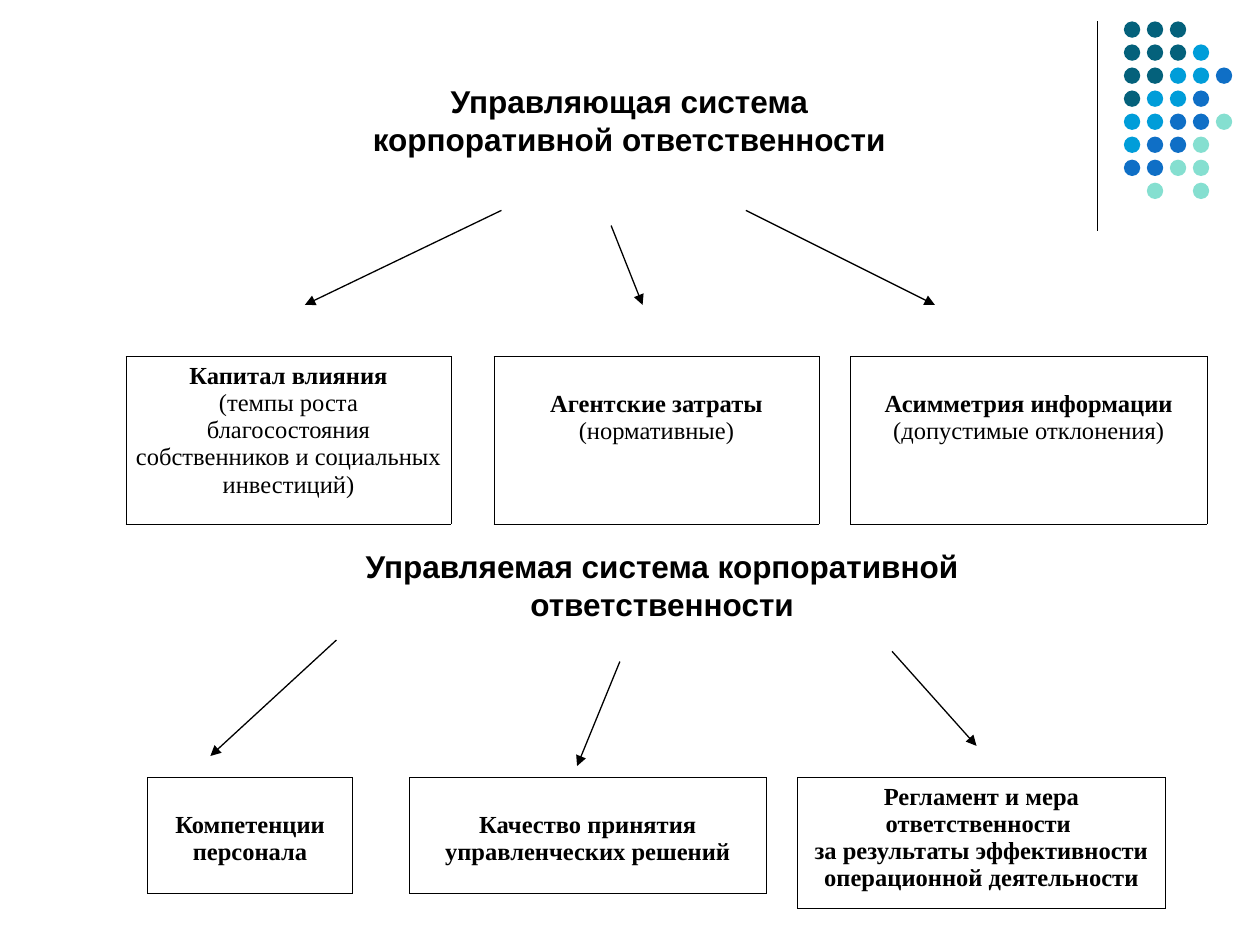
from dataclasses import dataclass

import pptx
import pptx.dml.color
import pptx.enum.shapes
import pptx.enum.text
import pptx.oxml
import pptx.oxml.ns
import pptx.util
from pptx.util import Inches


@dataclass(frozen=True)
class Theme:
    ink: str = "000000"
    teal: str = "04617B"
    sky: str = "009DD9"
    blue: str = "0F6FC6"
    mint: str = "85DFD0"
    heading_font: str = "Arial"
    box_font: str = "Times New Roman"
    heading_size: int = 18
    box_size: int = 14
    line_width: float = 0.75
    border_width: float = 0.45


theme = Theme()
ink = pptx.dml.color.RGBColor.from_string(theme.ink)
center = pptx.enum.text.PP_ALIGN.CENTER

deck = pptx.Presentation()
deck.slide_width, deck.slide_height = Inches(10), Inches(7.5)
slide = deck.slides.add_slide(deck.slide_layouts[5])


def add_line(x1, y1, x2, y2, arrow=True):
    line = slide.shapes.add_connector(
        pptx.enum.shapes.MSO_CONNECTOR.STRAIGHT,
        Inches(x1), Inches(y1), Inches(x2), Inches(y2))
    line.line.color.rgb = ink
    line.line.width = pptx.util.Pt(theme.line_width)
    if arrow:
        tail = pptx.oxml.parse_xml(
            f'<a:tailEnd {pptx.oxml.ns.nsdecls("a")} type="triangle"/>')
        line.line._get_or_add_ln().append(tail)
    line._element.spPr.append(
        pptx.oxml.parse_xml(f'<a:effectLst {pptx.oxml.ns.nsdecls("a")}/>'))


# Corner ornament: rule and dot grid
add_line(8.71, 0.17, 8.71, 1.83, arrow=False)
dot_colors = {"t": theme.teal, "s": theme.sky, "b": theme.blue, "m": theme.mint}
dot_rows = ["ttt", "ttts", "ttssb", "tssb", "ssbbm", "sbbm", "bbmm", ".m.m"]
left_dot, last_dot, top_dot, bottom_dot = 8.92, 9.65, 0.17, 1.45
column_pitch = (last_dot - left_dot) / 4
row_pitch = (bottom_dot - top_dot) / (len(dot_rows) - 1)
dot_size = Inches(0.13)
for row, codes in enumerate(dot_rows):
    for column, code in enumerate(codes):
        if code not in dot_colors:
            continue
        dot = slide.shapes.add_shape(
            pptx.enum.shapes.MSO_SHAPE.OVAL,
            Inches(left_dot + column * column_pitch),
            Inches(top_dot + row * row_pitch), dot_size, dot_size)
        dot.shadow.inherit = False
        dot.fill.solid()
        dot.fill.fore_color.rgb = pptx.dml.color.RGBColor.from_string(dot_colors[code])
        dot.line.fill.background()

# Headings of the two systems
governing = slide.shapes.title
governing.left, governing.top = Inches(2.58), Inches(0.6)
governing.width, governing.height = Inches(4.83), Inches(1)
governed = slide.shapes.add_textbox(
    Inches(2.67), Inches(4.29), Inches(5.17), Inches(1.3))
for heading, wording, bottom_margin in [
    (governing, "Управляющая система корпоративной ответственности", 0.35),
    (governed, "Управляемая система корпоративной ответственности", 0.65),
]:
    frame = heading.text_frame
    frame.text = wording
    frame.word_wrap = True
    frame.auto_size = pptx.enum.text.MSO_AUTO_SIZE.NONE
    frame.vertical_anchor = pptx.enum.text.MSO_ANCHOR.MIDDLE
    frame.margin_left = frame.margin_right = Inches(0.1)
    frame.margin_top, frame.margin_bottom = Inches(0.05), Inches(bottom_margin)
    paragraph = frame.paragraphs[0]
    paragraph.alignment = center
    paragraph.font.name = theme.heading_font
    paragraph.font.size = pptx.util.Pt(theme.heading_size)
    paragraph.font.bold = True
    paragraph.font.color.rgb = ink

# Arrows from each heading to its boxes
for ends in [
    (3.98, 1.67, 2.42, 2.42), (4.85, 1.79, 5.1, 2.42), (5.92, 1.67, 7.42, 2.42),
    (2.67, 5.08, 1.67, 6), (4.92, 5.25, 4.58, 6.08), (7.08, 5.17, 7.75, 5.92),
]:
    add_line(*ends)

# Boxes: left, top, width, row heights, side margin, top margin,
# then paragraphs made of (text, bold) runs; only the first row is framed
full, lowered = 0.05, 0.27
boxes = [
    (1, 2.83, 2.58, [1.33], 0.07, full, [
        [("Капитал влияния", True)],
        [("(темпы роста благосостояния собственников и социальных инвестиций)", False)]]),
    (3.92, 2.83, 2.58, [1.33, 0.39], 0.07, lowered, [
        [("Агентские затраты", True)], [("(нормативные)", False)]]),
    (6.75, 2.83, 2.83, [1.33], 0.07, lowered, [
        [("Асимметрия информации ", True), ("(допустимые отклонения)", False)]]),
    (6.33, 6.17, 2.92, [1.04], 0.08, full, [
        [("Регламент и мера ответственности ", True)],
        [("за результаты эффективности операционной деятельности", True)]]),
    (3.25, 6.17, 2.83, [0.92], 0.08, lowered, [
        [("Качество принятия управленческих решений", True)]]),
    (1.17, 6.17, 1.63, [0.92], 0.08, lowered, [[("Компетенции персонала", True)]]),
]
border_width = int(pptx.util.Pt(theme.border_width))
for left, top, width, heights, side_margin, top_margin, paragraphs in boxes:
    box = slide.shapes.add_table(
        len(heights), 1, Inches(left), Inches(top),
        Inches(width), Inches(sum(heights))).table
    box.first_row = box.horz_banding = False
    for row, height in enumerate(heights):
        box.rows[row].height = Inches(height)
        # Borders come before the fill in the cell properties
        for side in ("lnL", "lnR", "lnT", "lnB"):
            framed = row == 0 or side == "lnT"
            paint = (f'<a:solidFill><a:srgbClr val="{theme.ink}"/></a:solidFill>'
                     if framed else "<a:noFill/>")
            box.cell(row, 0)._tc.get_or_add_tcPr().append(pptx.oxml.parse_xml(
                f'<a:{side} {pptx.oxml.ns.nsdecls("a")} w="{border_width}">'
                f'{paint}</a:{side}>'))
        box.cell(row, 0).fill.background()

    cell = box.cell(0, 0)
    cell.margin_left = cell.margin_right = Inches(side_margin)
    cell.margin_top, cell.margin_bottom = Inches(top_margin), Inches(0.05)
    for index, runs in enumerate(paragraphs):
        frame = cell.text_frame
        paragraph = frame.add_paragraph() if index else frame.paragraphs[0]
        paragraph.alignment = center
        paragraph.font.name = theme.box_font
        paragraph.font.size = pptx.util.Pt(theme.box_size)
        paragraph.font.color.rgb = ink
        for wording, bold in runs:
            run = paragraph.add_run()
            run.text = wording
            run.font.bold = bold

deck.save("out.pptx")
